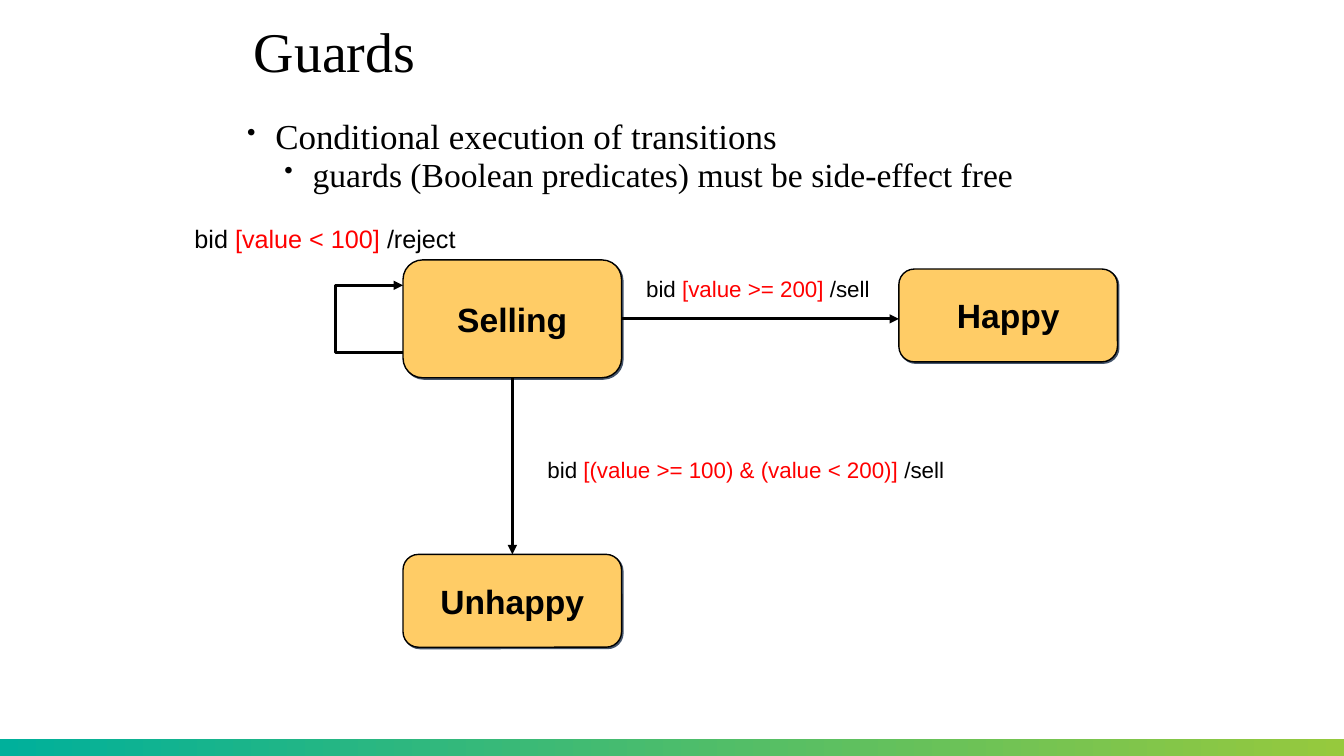
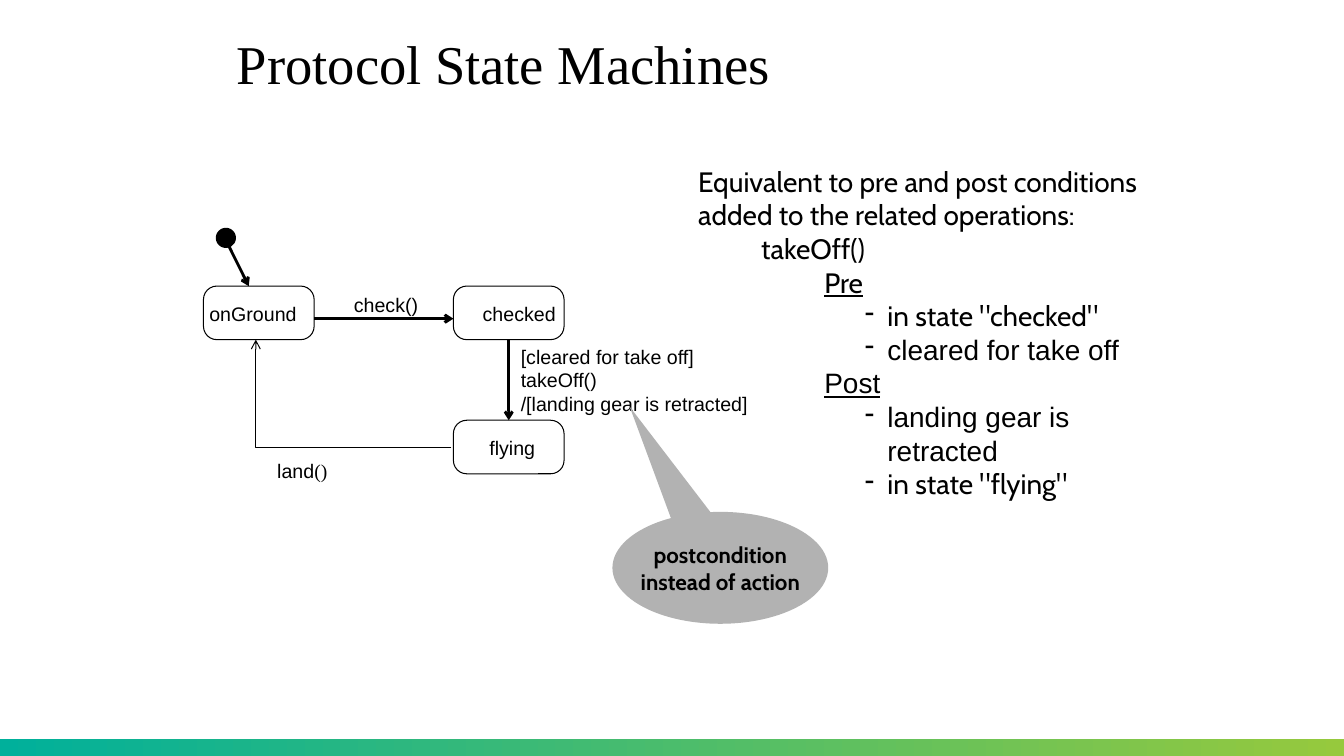
from pptx import Presentation
from pptx import util as u
from pptx.dml.color import RGBColor
from pptx.enum import shapes, text
from pptx.oxml import parse_xml
from pptx.oxml.ns import nsdecls, qn

BLACK = RGBColor(0x00, 0x00, 0x00)
RED = RGBColor(0xFF, 0x00, 0x00)
STATE_FILL = RGBColor(0xFF, 0xCC, 0x66)
CALLOUT_FILL = RGBColor(0xB2, 0xB2, 0xB2)
BAND_COLORS = RGBColor(0x00, 0xB0, 0x9B), RGBColor(0x96, 0xC9, 0x3D)
SHADOW_COLOR = "44546A"
SERIF, SANS, BODY = "Times New Roman", "Arial", "Cabin"
HAIRLINE = 0
THICK = 2.25

# Boxes are (left, top, width, height) in centimetres, points are (x, y).
GUARD_BULLETS = [
    # text, size, left indent, space before, bullet size in percent
    ("Conditional execution of transitions", 25, 0.97, 7.5, 72),
    ("guards (Boolean predicates) must be side-effect free", 24, 1.91, 3.7, 75),
]
GUARD_STATES = {
    "Selling": (10.16, 6.55, 5.51, 2.97),
    "Unhappy": (10.16, 13.97, 5.51, 2.34),
    "Happy": (22.66, 6.78, 5.51, 2.34),
}
GUARD_LABELS = [
    ("[value < 100]", " /reject", 18, (4.65, 5.51, 7.09, 1.02)),
    ("[value >= 200]", " /sell", 16, (16.03, 6.81, 6.15, 0.94)),
    ("[(value >= 100) & (value < 200)]", " /sell", 16, (13.54, 11.37, 10.52, 0.94)),
]
REJECT_LOOP = [(10.16, 8.89), (8.46, 8.89), (8.46, 7.19), (10.16, 7.19)]

PROTOCOL_STATE_SIZE = (2.79, 1.35)
PROTOCOL_STATES = {
    # left, top, text inset
    "onGround": (5.13, 7.21, 0.05),
    "checked": (11.43, 7.21, 0.64),
    "flying": (11.43, 10.59, 0.81),
}
PROTOCOL_LABELS = [
    (["check()"], (8.92, 7.37, 1.63, 0.58)),
    (["[cleared for take off]", "takeOff()", "/[landing gear is retracted]"],
     (13.13, 8.69, 5.74, 1.78)),
    ([["land", ("()", {"font": SERIF})]], (6.99, 11.56, 1.27, 0.58)),
]
LAND_PATH = [(11.38, 11.28), (6.45, 11.28), (6.45, 8.56)]
CONDITIONS = [
    # level, text, format
    (0, "Equivalent to pre and post conditions added to the related operations:", {}),
    (1, "takeOff()", {}),
    (2, "Pre", {"underline": True}),
    (3, 'in state "checked"', {}),
    (3, "cleared for take off", {"font": SANS}),
    (2, "Post", {"font": SANS, "underline": True}),
    (3, "landing gear is retracted", {"font": SANS}),
    (3, 'in state "flying"', {}),
]
LEVEL_INDENT = 1.59


def write(shape, paragraphs, size, font=SANS, color=BLACK, bold=False,
          align=text.PP_ALIGN.LEFT, anchor=text.MSO_ANCHOR.TOP,
          margins=(0.25, 0.13, 0.25, 0.13), wrap=False, spacing=None):
    """Fill a shape; a paragraph is a string or a list of strings and (string, format) runs."""
    frame = shape.text_frame
    frame.word_wrap = wrap
    frame.vertical_anchor = anchor
    (frame.margin_left, frame.margin_top,
     frame.margin_right, frame.margin_bottom) = map(u.Cm, margins)
    for index, runs in enumerate(paragraphs):
        paragraph = frame.add_paragraph() if index else frame.paragraphs[0]
        paragraph.alignment = align
        paragraph.line_spacing = spacing
        for item in [runs] if isinstance(runs, str) else runs:
            words, own = (item, {}) if isinstance(item, str) else item
            run = paragraph.add_run()
            run.text = words
            run.font.name = own.get("font", font)
            run.font.size = u.Pt(own.get("size", size))
            run.font.bold = bold
            run.font.underline = own.get("underline")
            run.font.color.rgb = own.get("color", color)
    return frame.paragraphs


def add_text(slide, box, paragraphs, size, **style):
    shape = slide.shapes.add_textbox(*map(u.Cm, box))
    return write(shape, paragraphs, size, **style)


def indent(paragraph, left, hanging=0, bullet=None, percent=100):
    properties = paragraph._p.get_or_add_pPr()
    properties.set("marL", str(u.Cm(left)))
    properties.set("indent", str(-u.Cm(hanging)))
    if bullet:
        properties.append(parse_xml(f'<a:buSzPct {nsdecls("a")} val="{percent * 1000}"/>'))
        properties.append(parse_xml(f'<a:buChar {nsdecls("a")} char="{bullet}"/>'))


def add_box(slide, kind, box, fill=None, line_width=None):
    shape = slide.shapes.add_shape(kind, *map(u.Cm, box))
    shape.shadow.inherit = False
    if fill is None:
        shape.fill.background()
    else:
        shape.fill.solid()
        shape.fill.fore_color.rgb = fill
    if line_width is None:
        shape.line.fill.background()
    else:
        stroke(shape, line_width)
    return shape


def stroke(shape, width, head=None):
    shape.line.color.rgb = BLACK
    shape.line.width = u.Pt(width)
    if head:
        outline = shape.element.find(".//" + qn("a:ln"))
        outline.append(parse_xml(f'<a:tailEnd {nsdecls("a")} type="{head}"/>'))


def add_arrow(slide, start, end, width, head, source=None, target=None):
    """Draw a straight arrow; source and target are optional (shape, side) joints."""
    arrow = slide.shapes.add_connector(
        shapes.MSO_CONNECTOR.STRAIGHT, *map(u.Cm, (*start, *end)))
    stroke(arrow, width, head)
    arrow.element.spPr.append(parse_xml(f'<a:effectLst {nsdecls("a")}/>'))
    if source:
        arrow.begin_connect(*source)
    if target:
        arrow.end_connect(*target)


def add_bent_arrow(slide, points, width, head):
    first, *rest = [(u.Cm(x), u.Cm(y)) for x, y in points]
    builder = slide.shapes.build_freeform(*first)
    builder.add_line_segments(rest, close=False)
    path = builder.convert_to_shape()
    path.shadow.inherit = False
    path.fill.background()
    stroke(path, width, head)


def add_drop_shadow(shape):
    effects = shape.element.spPr.find(qn("a:effectLst"))
    effects.append(parse_xml(
        f'<a:outerShdw {nsdecls("a")} dist="{u.Pt(1.4)}" dir="2700000" algn="ctr" '
        f'rotWithShape="0"><a:srgbClr val="{SHADOW_COLOR}"/></a:outerShdw>'))


def add_slide(presentation, title, title_box, title_size):
    """Add a blank slide with the shared bottom band and title style."""
    slide = presentation.slides.add_slide(presentation.slide_layouts[6])
    band = add_box(slide, shapes.MSO_SHAPE.RECTANGLE, (0, 18.62, 33.88, 0.43))
    band.fill.gradient()
    band.fill.gradient_angle = 0
    for stop, color in zip(band.fill.gradient_stops, BAND_COLORS):
        stop.color.rgb = color
    add_text(slide, title_box, [title], title_size, font=SERIF, wrap=True,
             anchor=text.MSO_ANCHOR.MIDDLE, spacing=0.9)
    return slide


def build_guards(presentation):
    slide = add_slide(presentation, "Guards", (6.15, 0.43, 21.59, 1.9), 40)
    centred = dict(align=text.PP_ALIGN.CENTER, anchor=text.MSO_ANCHOR.MIDDLE)

    lines = [[(words, {"size": size})] for words, size, *_ in GUARD_BULLETS]
    paragraphs = add_text(slide, (5.72, 2.97, 21.59, 2.97), lines, 24,
                          font=SERIF, wrap=True, spacing=0.8)
    for paragraph, (_, _, left, before, percent) in zip(paragraphs, GUARD_BULLETS):
        paragraph.space_before = u.Pt(before)
        indent(paragraph, left, 0.71, "•", percent)

    states = {}
    for name, box in GUARD_STATES.items():
        state = add_box(slide, shapes.MSO_SHAPE.ROUNDED_RECTANGLE, box, STATE_FILL, 1)
        add_drop_shadow(state)
        write(state, [name], 24, bold=True, **centred)
        states[name] = state

    left, top, width, height = GUARD_STATES["Selling"]
    middle_x, middle_y = left + width / 2, top + height / 2
    add_arrow(slide, (middle_x, top + height), (middle_x, GUARD_STATES["Unhappy"][1]),
              THICK, "triangle", (states["Selling"], 2), (states["Unhappy"], 0))
    add_arrow(slide, (left + width, middle_y), (GUARD_STATES["Happy"][0], middle_y),
              THICK, "triangle", (states["Selling"], 3))
    add_bent_arrow(slide, REJECT_LOOP, THICK, "triangle")

    for guard, action, size, box in GUARD_LABELS:
        add_text(slide, box, [["bid ", (guard, {"color": RED}), action]], size, **centred)


def build_protocol(presentation):
    slide = add_slide(presentation, "Protocol State Machines", (5.72, 0.64, 21.79, 2.11), 39)

    states = {}
    for name, (left, top, inset) in PROTOCOL_STATES.items():
        state = add_box(slide, shapes.MSO_SHAPE.ROUNDED_RECTANGLE,
                        (left, top, *PROTOCOL_STATE_SIZE), line_width=HAIRLINE)
        state.adjustments[0] = 0.25
        write(state, [name], 14, anchor=text.MSO_ANCHOR.MIDDLE,
              margins=(inset, 0.03, 0, 0), wrap=True)
        states[name] = state

    add_box(slide, shapes.MSO_SHAPE.OVAL, (5.44, 5.74, 0.51, 0.51), BLACK)
    add_arrow(slide, (5.64, 5.94), (6.27, 7.21), HAIRLINE, "arrow")
    add_arrow(slide, (7.92, 8.03), (11.43, 8.03), HAIRLINE, "arrow")
    add_arrow(slide, (12.83, 8.56), (12.83, 10.59), HAIRLINE, "arrow",
              (states["checked"], 2), (states["flying"], 0))
    add_bent_arrow(slide, LAND_PATH, HAIRLINE, "arrow")
    for lines, box in PROTOCOL_LABELS:
        add_text(slide, box, lines, 14, margins=(0, 0, 0, 0))

    callout = add_box(slide, shapes.MSO_SHAPE.OVAL_CALLOUT,
                      (15.44, 12.9, 5.44, 2.82), CALLOUT_FILL)
    callout.adjustments[0], callout.adjustments[1] = -0.42, -1.44
    write(callout, ["postcondition", "instead of action"], 16, font=BODY, bold=True,
          align=text.PP_ALIGN.CENTER, anchor=text.MSO_ANCHOR.MIDDLE)

    lines = [[(words, style)] for _, words, style in CONDITIONS]
    paragraphs = add_text(slide, (17.35, 4.01, 12.27, 10.54), lines, 20,
                          font=BODY, wrap=True, spacing=u.Pt(24))
    for paragraph, (level, *_) in zip(paragraphs, CONDITIONS):
        is_item = level == 3
        indent(paragraph, level * LEVEL_INDENT, 0.57 if is_item else 0,
               "-" if is_item else None)


def main():
    presentation = Presentation()
    presentation.slide_width, presentation.slide_height = u.Cm(33.88), u.Cm(19.05)
    build_guards(presentation)
    build_protocol(presentation)
    presentation.save("out.pptx")


if __name__ == "__main__":
    main()
